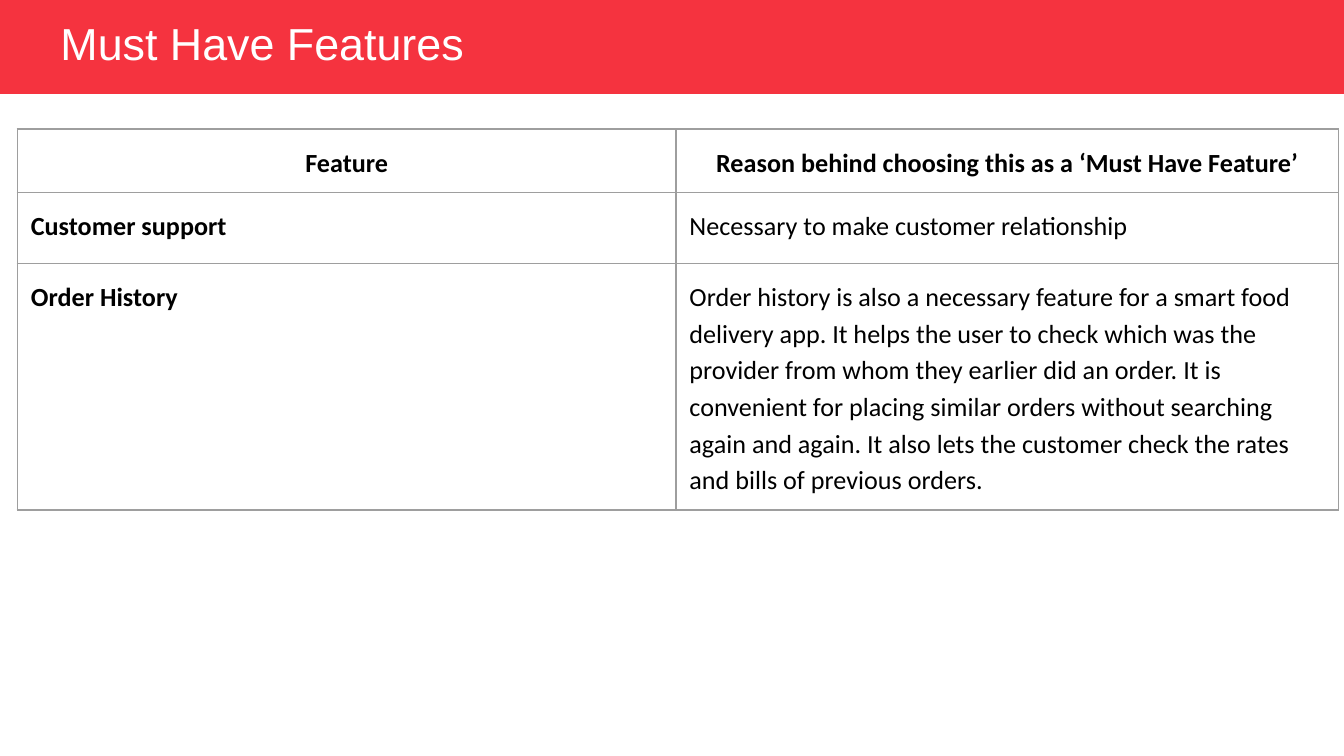
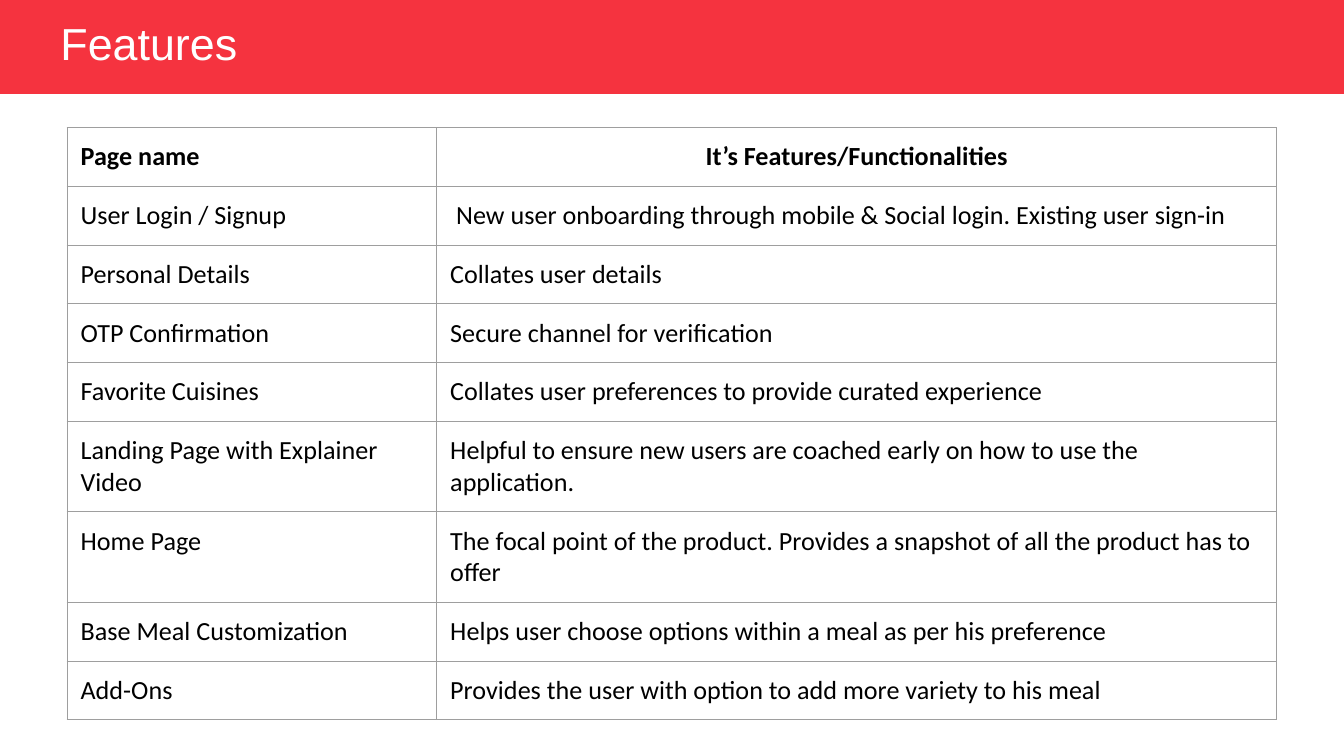
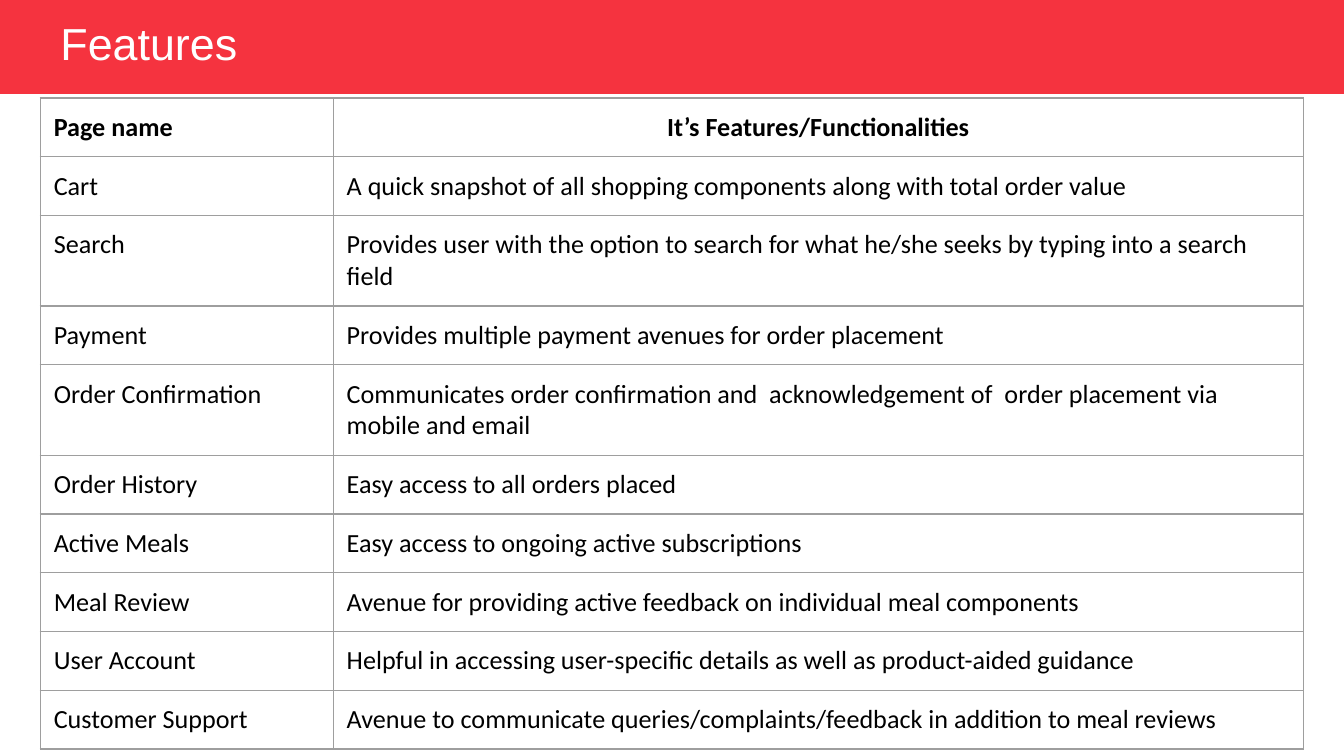
import pptx
import pptx.dml.color
import pptx.enum.shapes
import pptx.enum.text
import pptx.oxml
import pptx.oxml.ns
import pptx.util

COLORS = {"band": "F5333F", "title": "FFFFFF", "text": "000000", "border": "9E9E9E"}
WIDTH = pptx.util.Inches(10)
HEIGHT = WIDTH * 9 // 16
TITLE_ONLY = 5
BAND_HEIGHT = pptx.util.Inches(0.7)
ONE_LINE, TWO_LINES = 0.43, 0.67
LEFT = pptx.enum.text.PP_ALIGN.LEFT
CENTER = pptx.enum.text.PP_ALIGN.CENTER

# Table contents
MUST_HAVE_ROWS = [
    ("Feature", "Reason behind choosing this as a ‘Must Have Feature’"),
    ("Customer support", "Necessary to make customer relationship"),
    ("Order History",
     "Order history is also a necessary feature for a smart food delivery app. "
     "It helps the user to check which was the provider from whom they earlier did an order. "
     "It is convenient for placing similar orders without searching again and again. "
     "It also lets the customer check the rates and bills of previous orders."),
]
PAGE_HEADER = ("Page name", "It’s Features/Functionalities")
ONBOARDING_ROWS = [
    PAGE_HEADER,
    ("User Login / Signup",
     " New user onboarding through mobile & Social login. Existing user sign-in"),
    ("Personal Details", "Collates user details"),
    ("OTP Confirmation", "Secure channel for verification"),
    ("Favorite Cuisines", "Collates user preferences to provide curated experience"),
    ("Landing Page with Explainer Video",
     "Helpful to ensure new users are coached early on how to use the application."),
    ("Home Page",
     "The focal point of the product. Provides a snapshot of all the product has to offer"),
    ("Base Meal Customization",
     "Helps user choose options within a meal as per his preference"),
    ("Add-Ons", "Provides the user with option to add more variety to his meal"),
]
ORDERING_ROWS = [
    PAGE_HEADER,
    ("Cart", "A quick snapshot of all shopping components along with total order value"),
    ("Search",
     "Provides user with the option to search for what he/she seeks by typing into a search field"),
    ("Payment", "Provides multiple payment avenues for order placement"),
    ("Order Confirmation",
     "Communicates order confirmation and  acknowledgement of  order placement via mobile and email"),
    ("Order History", "Easy access to all orders placed"),
    ("Active Meals", "Easy access to ongoing active subscriptions"),
    ("Meal Review", "Avenue for providing active feedback on individual meal components"),
    ("User Account",
     "Helpful in accessing user-specific details as well as product-aided guidance"),
    ("Customer Support",
     "Avenue to communicate queries/complaints/feedback in addition to meal reviews"),
]


def rgb(name):
    return pptx.dml.color.RGBColor.from_string(COLORS[name])


def write_text(text_frame, text, font="Calibri", size=14, color="text",
               bold=False, align=LEFT, line_spacing=1.0):
    text_frame.text = text
    paragraph = text_frame.paragraphs[0]
    paragraph.alignment = align
    paragraph.line_spacing = line_spacing
    run_font = paragraph.runs[0].font
    run_font.name, run_font.size, run_font.bold = font, pptx.util.Pt(size), bold
    run_font.color.rgb = rgb(color)


def add_band(slide):
    """Put the title band at the back of the layout that all slides share."""
    band = slide.shapes.add_shape(pptx.enum.shapes.MSO_SHAPE.RECTANGLE,
                                  0, 0, WIDTH, BAND_HEIGHT)
    band.shadow.inherit = False
    band.fill.solid()
    band.fill.fore_color.rgb = rgb("band")
    band.line.fill.background()
    slide.slide_layout.shapes.element.insert(2, band.element)


def add_titled_slide(presentation, text):
    slide = presentation.slides.add_slide(presentation.slide_layouts[TITLE_ONLY])
    title = slide.shapes.title
    title.left, title.top = int(WIDTH * 0.035), pptx.util.Inches(0.13)
    title.width, title.height = int(WIDTH * 0.41), int(HEIGHT * 0.075)
    frame = title.text_frame
    frame.word_wrap = True
    frame.auto_size = pptx.enum.text.MSO_AUTO_SIZE.NONE
    frame.vertical_anchor = pptx.enum.text.MSO_ANCHOR.MIDDLE
    write_text(frame, text, font="Arial", size=24, color="title", line_spacing=0.9)
    return slide


def set_borders(cell, width):
    properties = cell._tc.get_or_add_tcPr()
    for position, side in enumerate(("lnL", "lnR", "lnT", "lnB")):
        properties.insert(position, pptx.oxml.parse_xml(
            f'<a:{side} {pptx.oxml.ns.nsdecls("a")} w="{pptx.util.Pt(width)}">'
            f'<a:solidFill><a:srgbClr val="{COLORS["border"]}"/></a:solidFill></a:{side}>'))


def add_feature_table(slide, rows, left, top, columns, heights, header_aligns=(LEFT, CENTER),
                      bold_names=False, line_spacing=1.0, border=0.75):
    inches = pptx.util.Inches
    table = slide.shapes.add_table(len(rows), len(columns), inches(left), inches(top),
                                   inches(sum(columns)), inches(sum(heights))).table
    table.first_row = table.horz_banding = False
    for column, width in zip(table.columns, columns):
        column.width = inches(width)
    for row_index, (row, height) in enumerate(zip(rows, heights)):
        table.rows[row_index].height = inches(height)
        is_header = row_index == 0
        for column_index, text in enumerate(row):
            cell = table.cell(row_index, column_index)
            cell.margin_left = cell.margin_right = inches(0.1)
            cell.margin_top = cell.margin_bottom = inches(0.1)
            cell.fill.background()
            set_borders(cell, border)
            write_text(cell.text_frame, text, line_spacing=line_spacing,
                       bold=is_header or (bold_names and column_index == 0),
                       align=header_aligns[column_index] if is_header else LEFT)


def row_heights(count, wrapped_rows):
    return [TWO_LINES if row in wrapped_rows else ONE_LINE for row in range(count)]


def main():
    presentation = pptx.Presentation()
    presentation.slide_width, presentation.slide_height = WIDTH, HEIGHT

    # Must-have features
    slide = add_titled_slide(presentation, "Must Have Features")
    add_band(slide)
    add_feature_table(slide, MUST_HAVE_ROWS, 0.13, 0.96, (4.9, 4.93), (0.47, 0.53, 1.83),
                      header_aligns=(CENTER, CENTER), bold_names=True,
                      line_spacing=1.15, border=0.94)

    # Onboarding and meal pages
    slide = add_titled_slide(presentation, "Features")
    add_feature_table(slide, ONBOARDING_ROWS, 0.5, 0.95, (2.75, 6.25),
                      row_heights(len(ONBOARDING_ROWS), (5, 6)))

    # Ordering and account pages
    slide = add_titled_slide(presentation, "Features")
    add_feature_table(slide, ORDERING_ROWS, 0.3, 0.73, (2.18, 7.22),
                      row_heights(len(ORDERING_ROWS), (2, 4)))

    presentation.save("out.pptx")


if __name__ == "__main__":
    main()
